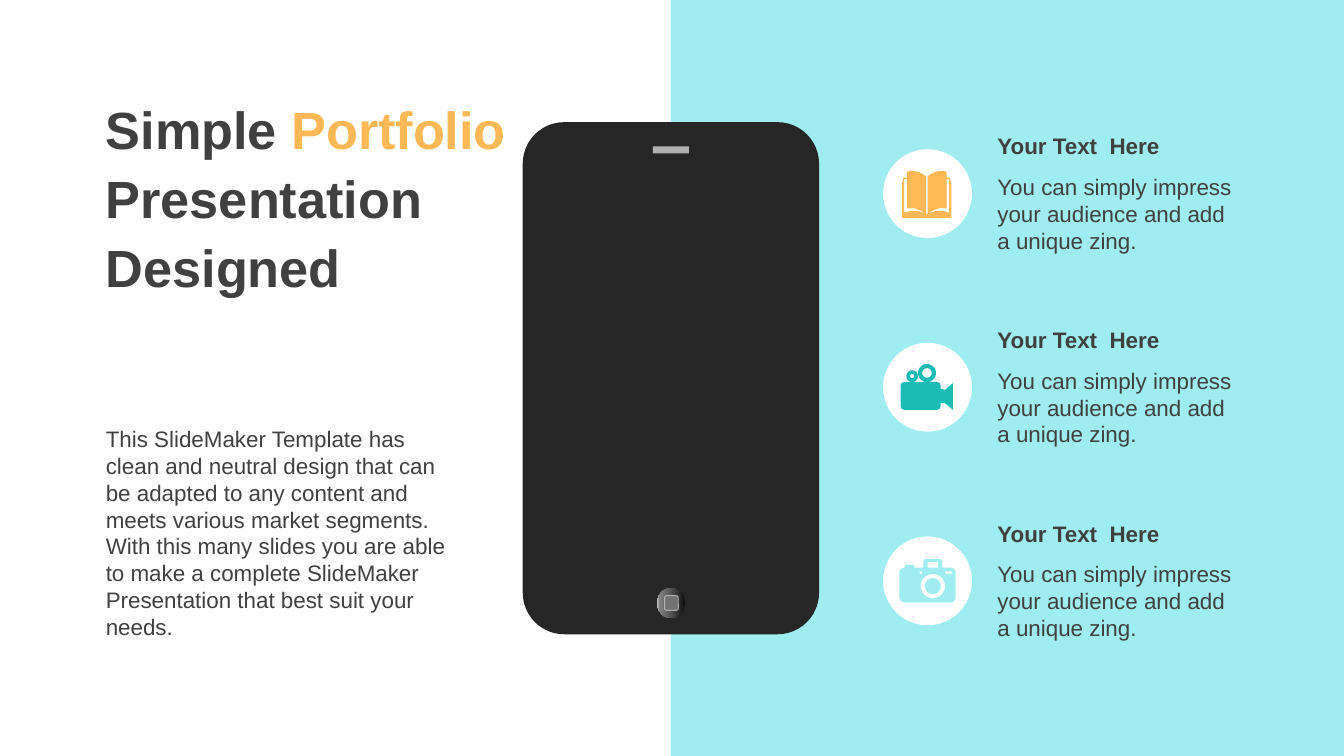
"""Build a portfolio slide with a phone and three illustrated points."""
from copy import deepcopy
from math import cos, pi, sin

from pptx import Presentation
from pptx.dml.color import RGBColor
from pptx.enum import shapes, text
from pptx.oxml.ns import qn
from pptx.util import Cm, Pt

DARK, ORANGE, TEAL, AQUA = "404040", "FEB856", "1CBBB4", "9FEDF0"
color = RGBColor.from_string

presentation = Presentation()
presentation.slide_width, presentation.slide_height = Cm(25.4), Cm(14.29)
slide = presentation.slides.add_slide(presentation.slide_layouts[6])


def add_block(kind, left, top, width, height, fill):
    shape = slide.shapes.add_shape(kind, Cm(left), Cm(top), Cm(width), Cm(height))
    shape.shadow.inherit = False
    shape.fill.solid()
    shape.fill.fore_color.rgb = color(fill)
    shape.line.fill.background()
    return shape


def add_text(left, top, width, height, runs, size=12, bold=False):
    frame = slide.shapes.add_textbox(Cm(left), Cm(top), Cm(width), Cm(height)).text_frame
    frame.word_wrap = True
    frame.auto_size = text.MSO_AUTO_SIZE.SHAPE_TO_FIT_TEXT
    paragraph = frame.paragraphs[0]
    paragraph.font.name = "Arial"
    paragraph.font.size = Pt(size)
    paragraph.font.bold = bold
    for words, tint in runs:
        run = paragraph.add_run()
        run.text = words
        run.font.color.rgb = color(tint)
    return frame


kinds = shapes.MSO_SHAPE
add_block(kinds.RECTANGLE, 12.68, 0, 12.72, 14.29, AQUA)

phone = add_block(kinds.ROUNDED_RECTANGLE, 9.88, 2.31, 5.6, 9.68, "262626")
phone.adjustments[0] = 0.14
add_block(kinds.RECTANGLE, 12.34, 2.77, 0.68, 0.13, "B0B0B0")
button = add_block(kinds.OVAL, 12.42, 11.11, 0.53, 0.58, "595959")
button.fill.gradient()
button.fill.gradient_angle = 180
stop_list = button._element.spPr.find(".//" + qn("a:gsLst"))
for _ in range(2):
    stop_list.append(deepcopy(stop_list[0]))
tints = [(0, "0F0F0F"), (0.56, "595959"), (0.91, "808080"), (1, "BFBFBF")]
for stop, (position, tint) in zip(button.fill.gradient_stops, tints):
    stop.position = position
    stop.color.rgb = color(tint)
key = add_block(kinds.ROUNDED_RECTANGLE, 12.56, 11.26, 0.26, 0.28, "737373")
key.line.color.rgb = color("B0B0B0")
key.line.width = Pt(0.5)

title = add_text(1.75, 1.63, 8.1, 4.11, [
    ("Simple ", DARK), ("Portfolio", ORANGE), (" Presentation Designed", DARK)], 28, True)
title.auto_size = text.MSO_AUTO_SIZE.NONE
title.vertical_anchor = text.MSO_ANCHOR.MIDDLE
title.paragraphs[0].line_spacing = 1.1
add_text(1.75, 7.91, 7.2, 4.37, [(
    "This SlideMaker Template has clean and neutral design that can be adapted to any "
    "content and meets various market segments. With this many slides you are able to "
    "make a complete SlideMaker Presentation that best suit your needs.", DARK)])

book = [
    [(-48, 46), (-48, -23), (-46, -23), (-46, -30), (-39, -30), (-39, -41), (-33, -43),
     (-26, -43), (-15, -40), (-3, -33), (0, -33), (12, -40), (23, -43), (30, -43),
     (36, -41), (36, -30), (43, -30), (43, -23), (45, -23), (45, 46)],
    [(0, -33), (0, 38), (12, 31), (24, 27), (36, 28), (36, -28), (41, -28), (41, 36),
     (30, 33), (15, 33), (0, 38), (-3, 38), (-18, 33), (-33, 33), (-44, 36), (-44, -28),
     (-39, -28), (-39, 28), (-27, 27), (-15, 31), (-3, 38), (-3, -33)],
]
camcorder = [
    [(-43, -10), (17, -10), (23, -8), (25, -2), (25, 3), (33, 5), (48, -8), (48, 43),
     (33, 30), (25, 30), (25, 35), (23, 41), (17, 43), (-43, 43), (-49, 41), (-51, 35),
     (-51, -2), (-49, -8)],
    (-1, -27, 17), (-1, -27, 9), (-29, -21, 11), (-29, -21, 4),
]
camera = [
    [(-5, -41), (25, -41), (28, -36), (28, -25), (43, -25), (50, -23), (53, -18),
     (53, 33), (50, 39), (45, 41), (-45, 41), (-50, 39), (-53, 33), (-53, -18),
     (-50, -23), (-43, -25), (-43, -30), (-25, -30), (-25, -25), (-8, -25), (-8, -36)],
    [(0, -36), (20, -36), (20, -25), (0, -25)],
    [(-15, -18), (-10, -18), (-10, -13), (-15, -13)],
    [(33, -18), (46, -18), (46, -13), (33, -13)],
    (10, 10, 23), (10, 10, 15),
]

center_x, pitch, disc = 17.53, 3.66, 1.68
for row, (contours, tint) in enumerate([(book, ORANGE), (camcorder, TEAL), (camera, AQUA)], 1):
    center_y = pitch * row
    add_block(kinds.OVAL, center_x - disc / 2, center_y - disc / 2, disc, disc, "FFFFFF")
    builder = None
    for contour in contours:
        if isinstance(contour, tuple):
            x, y, radius = contour
            angles = [2 * pi * step / 36 for step in range(36)]
            contour = [(x + radius * cos(angle), y + radius * sin(angle)) for angle in angles]
        points = [(x * 10, y * 10) for x, y in contour]
        if builder is None:
            builder = slide.shapes.build_freeform(*points[0], scale=Cm(0.01) / 10)
        else:
            builder.move_to(*points[0])
        builder.add_line_segments(points[1:], close=True)
    icon = builder.convert_to_shape(Cm(center_x), Cm(center_y))
    icon.shadow.inherit = False
    icon.fill.solid()
    icon.fill.fore_color.rgb = color(tint)
    icon.line.fill.background()
    add_text(18.6, center_y - 1.28, 5.11, 0.76, [("Your Text  Here", DARK)], bold=True)
    add_text(18.6, center_y - 0.51, 5.11, 1.8, [
        ("You can simply impress your audience and add a unique zing.", DARK)])

presentation.save("out.pptx")
